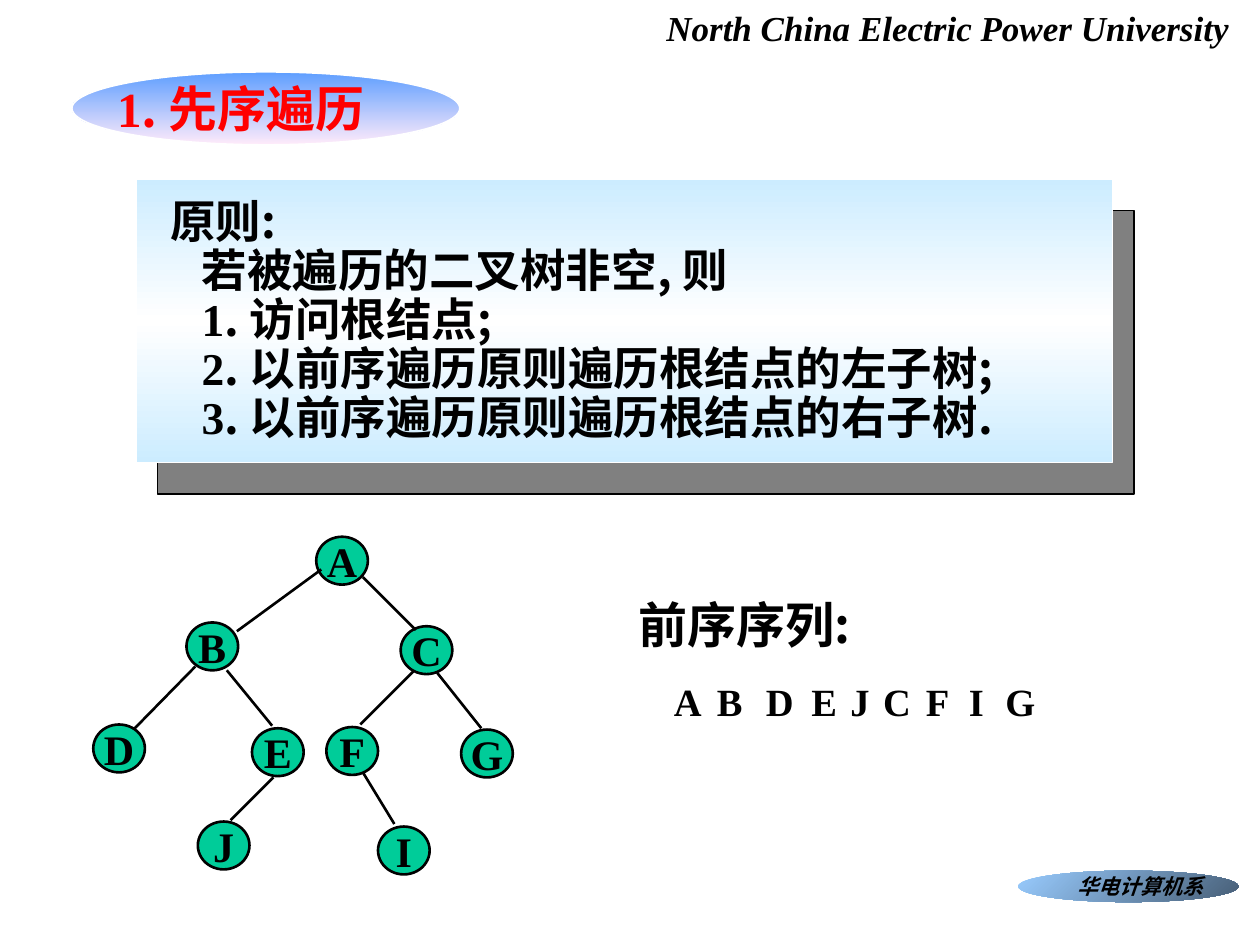
from copy import deepcopy
from dataclasses import dataclass

from lxml.etree import SubElement
from pptx import Presentation
from pptx.dml.color import RGBColor
from pptx.enum.shapes import MSO_CONNECTOR, MSO_SHAPE
from pptx.enum.text import MSO_ANCHOR, MSO_AUTO_SIZE, PP_ALIGN
from pptx.oxml.ns import qn
from pptx.util import Inches, Pt


@dataclass
class Theme:
    latin: str = "Times New Roman"
    han: str = "Noto Sans CJK SC"
    ink: str = "000000"
    white: str = "FFFFFF"
    red: str = "FF0000"
    grey: str = "808080"
    node: str = "00CC99"
    card: tuple = ("CCECFF", "FFFFFF", "CCECFF")
    oval: tuple = ("5E9EFF", "FFEBFA")
    badge: tuple = ("99CCFF", "475E76")
    head: int = 28
    rule: int = 26
    tree: int = 24
    order: int = 22
    school: int = 20
    small: int = 12


theme = Theme()


def style(run, size, face, color=theme.ink, italic=False):
    """Format a run, with the same face for Latin and Chinese letters."""
    font = run.font
    font.size, font.name = Pt(size), face
    font.bold, font.italic = True, italic
    font.color.rgb = RGBColor.from_string(color)
    SubElement(font._element, qn("a:ea")).set("typeface", face)


def shade(shape, angle, colors):
    """Fill a shape with evenly spaced gradient stops."""
    shape.shadow.inherit = False
    shape.fill.gradient()
    shape.fill.gradient_angle = angle
    stops = shape.element.find(".//" + qn("a:gsLst"))
    for _ in colors[2:]:
        stops.append(deepcopy(stops[0]))
    for i, (stop, color) in enumerate(zip(shape.fill.gradient_stops, colors)):
        stop.position = i / (len(colors) - 1)
        stop.color.rgb = RGBColor.from_string(color)


deck = Presentation()
deck.slide_width, deck.slide_height = Inches(10), Inches(7.5)
slide = deck.slides.add_slide(deck.slide_layouts[1])
shapes = slide.shapes
title, body = slide.placeholders

# School name, sequence heading and visiting order
labels = [
    ("North China Electric Power University", 5.19, 0, 4.67, 0.44,
     theme.school, theme.latin, True),
    ("前序序列:", 4.97, 4.67, 2.08, 0.57, theme.head, theme.han, False),
]
lefts = [5.25, 5.59, 5.98, 6.34, 6.65, 6.91, 7.25, 7.59, 7.88]
for letter, left in zip("ABDEJCFIG", lefts):
    labels.append((letter, left, 5.33, 0.42, 0.47,
                   theme.order, theme.latin, False))
for text, left, top, width, height, size, face, italic in labels:
    box = shapes.add_textbox(Inches(left), Inches(top),
                             Inches(width), Inches(height))
    box.text_frame.word_wrap = len(text) == 1
    box.text_frame.text = text
    style(box.text_frame.paragraphs[0].runs[0], size, face, italic=italic)

# Card with its offset backing
back = shapes.add_shape(MSO_SHAPE.RECTANGLE, Inches(1.25), Inches(1.67),
                        Inches(7.75), Inches(2.25))
back.shadow.inherit = False
back.fill.solid()
back.fill.fore_color.rgb = RGBColor.from_string(theme.grey)
card = shapes.add_shape(MSO_SHAPE.RECTANGLE, Inches(1.08), Inches(1.42),
                        Inches(7.75), Inches(2.25))
shade(card, 270, theme.card)
oval = shapes.add_shape(MSO_SHAPE.OVAL, Inches(0.57), Inches(0.57),
                        Inches(3.08), Inches(0.58))
shade(oval, 270, theme.oval)
for shape, color in ((back, theme.ink), (card, theme.white),
                     (oval, theme.white)):
    shape.line.color.rgb = RGBColor.from_string(color)
    shape.line.width = Pt(1)

# Title and rules, raised above their backgrounds
for holder, left, top, width, height in (
        (title, 0.83, 0.57, 2.55, 0.57), (body, 1.25, 1.53, 7.75, 2.05)):
    holder.left, holder.top = Inches(left), Inches(top)
    holder.width, holder.height = Inches(width), Inches(height)
    holder.text_frame.auto_size = MSO_AUTO_SIZE.NONE
    holder.text_frame.vertical_anchor = MSO_ANCHOR.TOP
    holder.element.getparent().append(holder.element)

para = title.text_frame.paragraphs[0]
para.alignment = PP_ALIGN.LEFT
for text, face in (("1", theme.latin), (". 先序遍历", theme.han)):
    run = para.add_run()
    run.text = text
    style(run, theme.head, face, theme.red)

rules = [
    ("", "原则:"),
    ("", "若被遍历的二叉树非空, 则"),
    ("1", ". 访问根结点;"),
    ("2", ". 以前序遍历原则遍历根结点的左子树;"),
    ("3", ". 以前序遍历原则遍历根结点的右子树."),
]
for i, (number, text) in enumerate(rules):
    para = body.text_frame.add_paragraph() if i else body.text_frame.paragraphs[0]
    props = para._p.get_or_add_pPr()
    props.set("marL", str(Inches(0.25 if i else 0)))
    props.set("indent", "0")
    SubElement(props, qn("a:buNone"))
    para.line_spacing, para.space_before = 0.9, Pt(0)
    for part, face in ((number, theme.latin), (text, theme.han)):
        if part:
            run = para.add_run()
            run.text = part
            style(run, theme.rule, face)

# Department badge
badge = shapes.add_shape(MSO_SHAPE.OVAL, Inches(8.08), Inches(6.91),
                         Inches(1.75), Inches(0.25))
shade(badge, 315, theme.badge)
badge.line.fill.background()
frame = badge.text_frame
frame.word_wrap = False
frame.margin_left = Inches(0.2)
frame.margin_right = frame.margin_top = frame.margin_bottom = 0
frame.text = "华电计算机系"
frame.paragraphs[0].alignment = PP_ALIGN.CENTER
style(frame.paragraphs[0].runs[0], theme.small, theme.han, italic=True)

# Binary tree: node, left, top, and the branch from its parent
nodes = [
    ("A", 2.51, 4.26, None),
    ("B", 1.48, 4.94, (2.55, 4.52, 1.88, 5.01)),
    ("C", 3.18, 4.97, (2.88, 4.58, 3.3, 5)),
    ("D", 0.74, 5.75, (1.55, 5.29, 1.07, 5.78)),
    ("E", 2, 5.78, (1.8, 5.32, 2.16, 5.76)),
    ("F", 2.59, 5.77, (3.28, 5.33, 2.86, 5.75)),
    ("G", 3.66, 5.79, (3.47, 5.34, 3.82, 5.78)),
    ("J", 1.57, 6.52, (2.17, 6.17, 1.83, 6.51)),
    ("I", 3, 6.56, (2.88, 6.13, 3.13, 6.54)),
]
for name, left, top, _ in nodes:
    node = shapes.add_shape(MSO_SHAPE.OVAL, Inches(left), Inches(top),
                            Inches(0.41), Inches(0.38))
    node.shadow.inherit = False
    node.fill.solid()
    node.fill.fore_color.rgb = RGBColor.from_string(theme.node)
    node.line.color.rgb = RGBColor.from_string(theme.ink)
    node.line.width = Pt(1.5)
    frame = node.text_frame
    frame.word_wrap = False
    frame.vertical_anchor = MSO_ANCHOR.MIDDLE
    frame.text = name
    frame.paragraphs[0].alignment = PP_ALIGN.CENTER
    style(frame.paragraphs[0].runs[0], theme.tree, theme.latin)

for *_, ends in nodes[1:]:
    branch = shapes.add_connector(MSO_CONNECTOR.STRAIGHT, *map(Inches, ends))
    branch.line.color.rgb = RGBColor.from_string(theme.ink)
    branch.line.width = Pt(1.5)
    SubElement(branch.element.spPr, qn("a:effectLst"))

deck.save("out.pptx")
